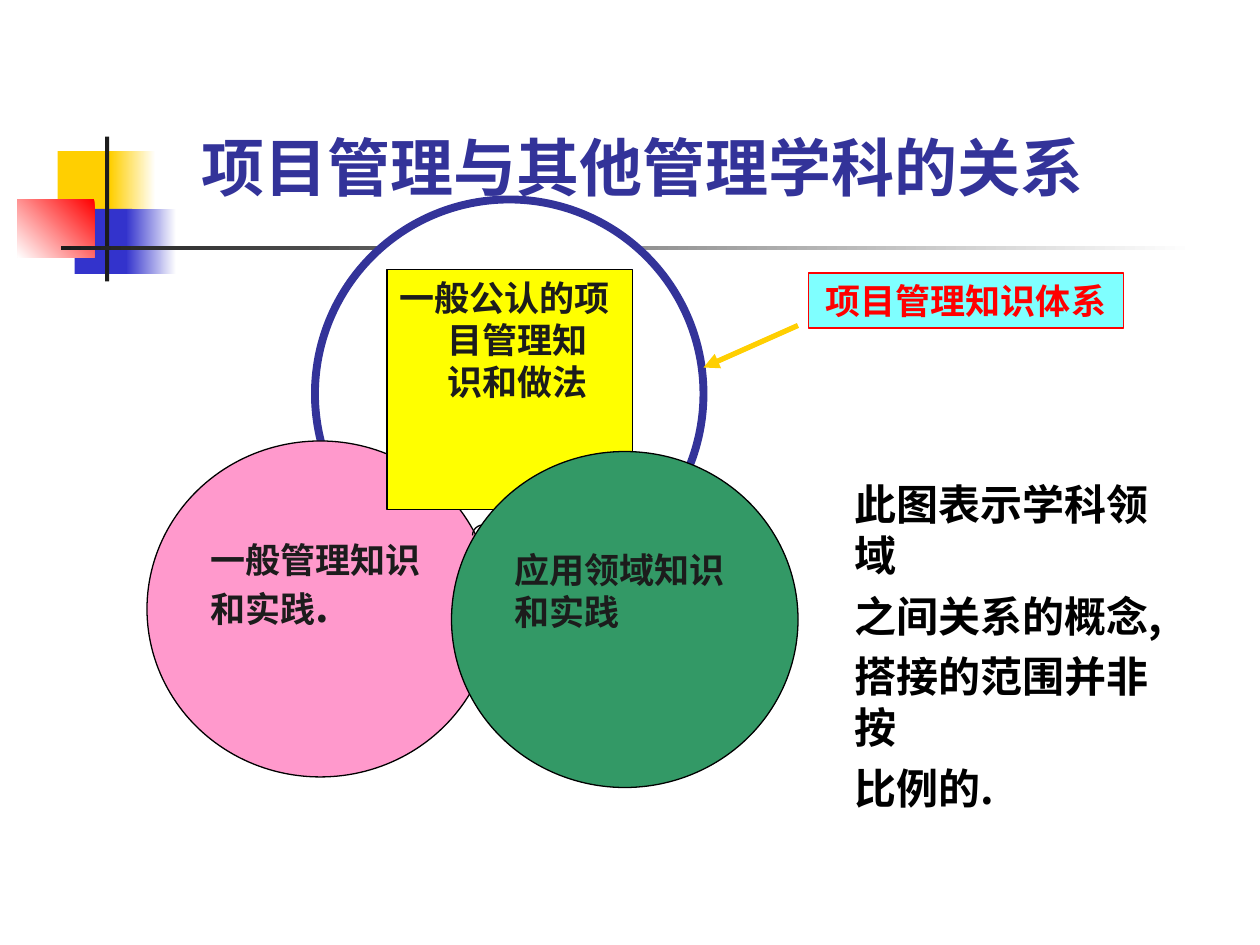
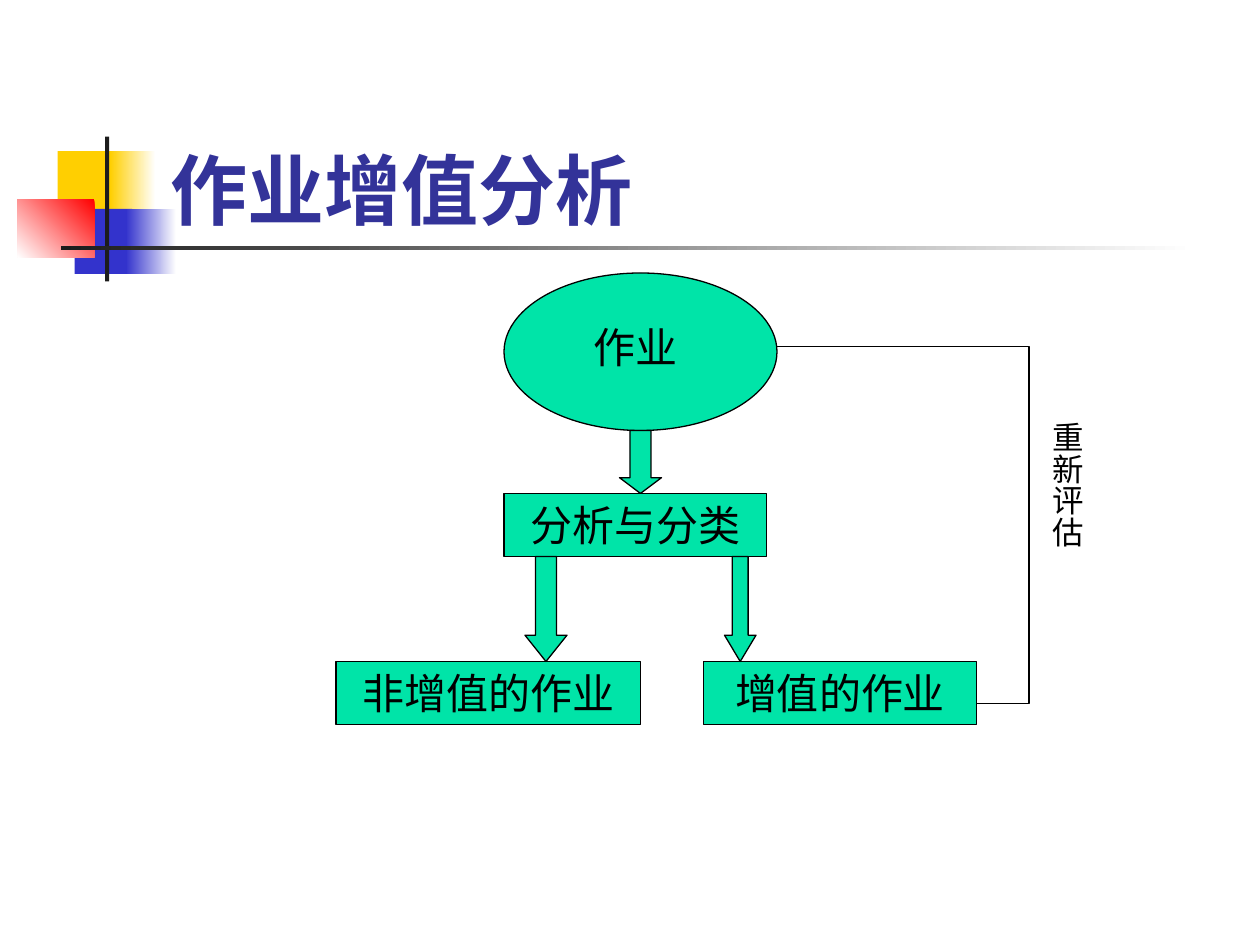
from pptx import Presentation
from pptx.dml.color import RGBColor
from pptx.enum.shapes import MSO_CONNECTOR, MSO_SHAPE as SHP
from pptx.enum.text import MSO_ANCHOR as ANCHOR, PP_ALIGN as ALIGN
from pptx.oxml.ns import qn
from pptx.util import Inches, Pt
from lxml.etree import SubElement

COLORS = {
    "white": "FFFFFF", "black": "000000", "ink": "1C1C1C", "navy": "333399",
    "blue": "3333CC", "gold": "FFCF01", "red": "FF0000", "pink": "FF99CC",
    "green": "339966", "yellow": "FFFF00", "cyan": "00FFFF", "mint": "00E4A8",
}
CJK, ROBOTO, TIMES = "Noto Sans CJK SC", "Roboto", "Times New Roman"


class Deck:
    """Slide style and drawing methods on a grid of 120 columns by 90 rows."""

    def __init__(self):
        self.prs = Presentation()
        self.prs.slide_width, self.prs.slide_height = Inches(10), Inches(7.5)
        self.cell = self.prs.slide_width / 120

    def grid(self, *cells):
        return [round(c * self.cell) for c in cells]

    def color(self, name):
        return RGBColor.from_string(COLORS[name])

    def slide(self, title, at, size, font):
        self.s = self.prs.slides.add_slide(self.prs.slide_layouts[6])
        self.shape(SHP.RECTANGLE, (5.5, 14.4, 5.8, 6.2), "gold", None)
        self.fade((10.5, 14.4, 4.3, 6.2), "white", "gold")
        self.shape(SHP.RECTANGLE, (7.1, 19.9, 5.5, 6.2), "blue", None)
        self.fade((12, 19.9, 4.8, 6.2), "white", "blue")
        self.fade((1.65, 19, 7.35, 5.5), "red", "white", 225)
        self.shape(SHP.RECTANGLE, (10, 13, 0.4, 13.8), "ink", None)
        self.fade((5.8, 23.4, 108, 0.4), "white", "ink")
        tf = self.textbox(at, [title], size, font, "navy", bold=True)
        tf.vertical_anchor = ANCHOR.BOTTOM

    def shape(self, kind, at, fill, line="black", width=0.75):
        sp = self.s.shapes.add_shape(kind, *self.grid(*at))
        return self.paint(sp, fill, line, width)

    def paint(self, sp, fill, line="black", width=0.75):
        sp.shadow.inherit = False
        if fill:
            sp.fill.solid()
            sp.fill.fore_color.rgb = self.color(fill)
        else:
            sp.fill.background()
        if line:
            sp.line.color.rgb = self.color(line)
            sp.line.width = Pt(width)
        else:
            sp.line.fill.background()
        return sp

    def fade(self, at, start, end, angle=180):
        sp = self.shape(SHP.RECTANGLE, at, start, None)
        sp.fill.gradient()
        sp.fill.gradient_angle = angle
        for stop, name in zip(sp.fill.gradient_stops, (start, end)):
            stop.color.rgb = self.color(name)

    def text(self, sp, lines, size, font, color="black", bold=False,
             align=ALIGN.LEFT, gap=0):
        tf = sp.text_frame
        tf.word_wrap = True
        tf.vertical_anchor = ANCHOR.TOP
        tf.text = "\n".join(lines)
        for i, p in enumerate(tf.paragraphs):
            p.alignment = align
            p.space_before = Pt(gap if i else 0)
            for r in p.runs:
                f = r.font
                f.size, f.name, f.bold = Pt(size), font, bold
                f.color.rgb = self.color(color)
                SubElement(r._r.get_or_add_rPr(), qn("a:ea"), typeface=CJK)
        return tf

    def textbox(self, at, *args, **style):
        sp = self.s.shapes.add_textbox(*self.grid(*at))
        return self.text(sp, *args, **style)

    def circle(self, at, fill, label, font):
        sp = self.shape(SHP.OVAL, at, fill)
        tf = self.text(sp, [label], 20, font, "ink", bold=True)
        tf.margin_top = Inches(0.38)
        return tf

    def node(self, at, label):
        sp = self.shape(SHP.RECTANGLE, at, "mint")
        self.text(sp, [label], 24, TIMES, align=ALIGN.CENTER)

    def down_arrow(self, x, y, w, h):
        sp = self.shape(SHP.DOWN_ARROW, (x, y, w, h), "mint")
        sp.adjustments[0], sp.adjustments[1] = 0.5, h / 4 / w

    def arrow(self, start, end, color, width):
        cn = self.s.shapes.add_connector(MSO_CONNECTOR.STRAIGHT,
                                         *self.grid(*start, *end))
        cn.line.color.rgb = self.color(color)
        cn.line.width = Pt(width)
        SubElement(cn.line._get_or_add_ln(), qn("a:tailEnd"), type="triangle")
        SubElement(cn._element.spPr, qn("a:effectLst"))

    def polyline(self, start, *points):
        fb = self.s.shapes.build_freeform(*self.grid(*start))
        fb.add_line_segments([self.grid(*pt) for pt in points], close=False)
        self.paint(fb.convert_to_shape(), None)


def disciplines(d):
    d.slide("项目管理与其他管理学科的关系", (18, 10, 93, 10), 36, CJK)
    d.shape(SHP.OVAL, (30, 19, 37, 37), "white", "navy", 4.5)
    tf = d.circle((14, 42, 33, 32), "pink", "一般管理知识和实践", CJK)
    r = tf.paragraphs[0].add_run()
    r.text = "."
    r.font.size, r.font.name, r.font.bold = Pt(24), CJK, True
    r.font.color.rgb = d.color("ink")
    d.arrow((76, 31), (67, 35), "gold", 3)

    sp = d.shape(SHP.RECTANGLE, (77, 26, 30, 5.25), "cyan", "red")
    clr = sp.fill._xPr.find(qn("a:solidFill"))[0]
    SubElement(clr, qn("a:alpha"), val="50000")
    d.text(sp, ["项目管理知识体系"], 20, "Montserrat", "red", True, ALIGN.CENTER)

    arc = d.shape(SHP.ARC, (45, 50, 2, 2), None)
    arc.adjustments[0], arc.adjustments[1] = 108, 162

    sp = d.shape(SHP.RECTANGLE, (36.85, 25.7, 23.4, 22.8), "yellow")
    tf = d.text(sp, ["一般公认的项目管理知识和做法"], 20, ROBOTO, "ink", True)
    pPr = tf.paragraphs[0]._p.get_or_add_pPr()
    pPr.set("marL", str(Inches(0.38)))
    pPr.set("indent", str(-Inches(0.38)))

    d.circle((43, 43, 33, 32), "green", "应用领域知识和实践", TIMES)
    note = ["此图表示学科领域", "之间关系的概念,", "搭接的范围并非按", "比例的."]
    tf = d.textbox((80.2, 45, 34.3, 23.4), note, 24, CJK, bold=True, gap=6)
    tf.word_wrap = False


def value_analysis(d):
    d.slide("作业增值分析", (15.1, 8, 102.2, 15), 44, ROBOTO)
    d.shape(SHP.OVAL, (48, 26, 26, 15), "mint")
    d.node((48, 47, 25, 6), "分析与分类")
    d.node((32, 63, 29, 6), "非增值的作业")
    d.node((67, 63, 26, 6), "增值的作业")
    d.textbox((53, 30, 15, 6), ["作业"], 24, TIMES, align=ALIGN.CENTER)
    d.down_arrow(59, 41, 4, 6)
    d.down_arrow(50, 53, 4, 10)
    d.down_arrow(69, 53, 3, 10)
    d.polyline((93, 67), (98, 67), (98, 33), (74, 33))
    tf = d.textbox((98, 39, 6, 23), ["重新评估"], 18, TIMES, align=ALIGN.CENTER)
    tf._txBody.bodyPr.set("vert", "eaVert")
    tf.margin_left = tf.margin_right = Inches(0.05)
    tf.margin_top = tf.margin_bottom = Inches(0.1)


def main():
    d = Deck()
    disciplines(d)
    value_analysis(d)
    d.prs.save("out.pptx")


if __name__ == "__main__":
    main()
